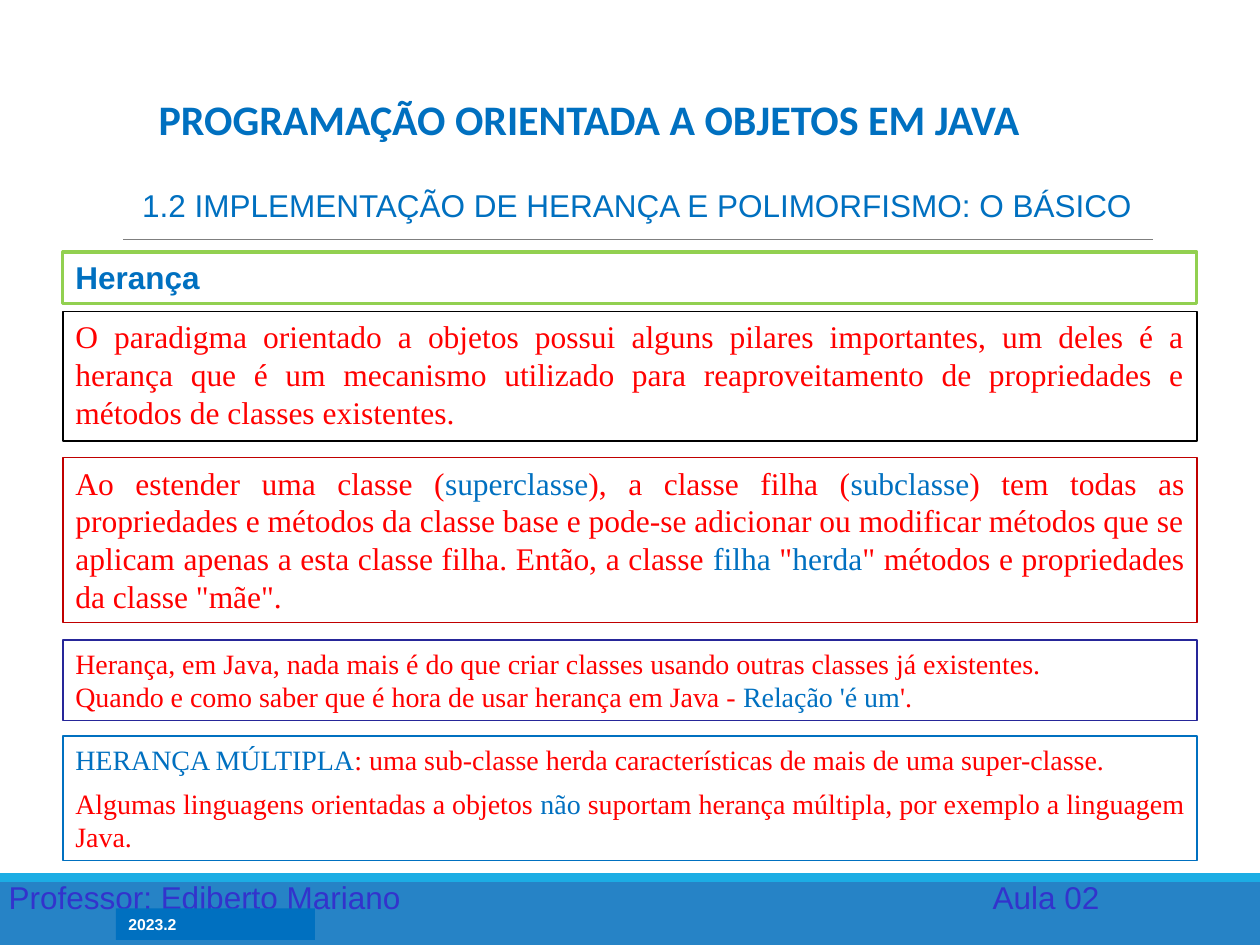
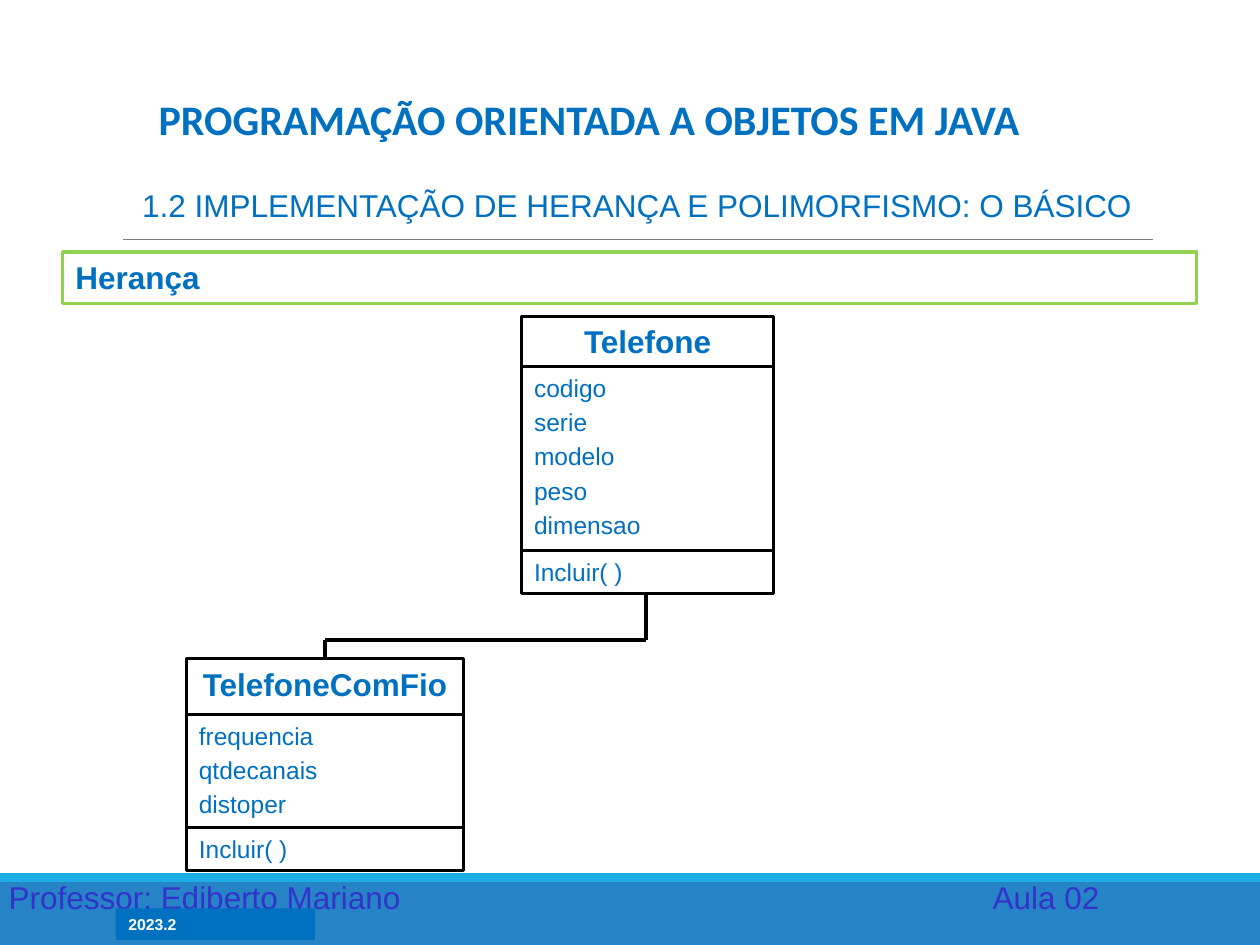
from lxml import etree
from pptx import Presentation
from pptx.dml.color import RGBColor
from pptx.enum import shapes, text
from pptx.oxml.ns import qn
from pptx.util import Inches, Pt

COLORS = {
    "blue": "0070C0", "red": "FF0000", "green": "92D050", "black": "000000",
    "crimson": "C00000", "navy": "262699", "gray": "7F7F7F", "white": "FFFFFF",
    "band": "2683C6", "stripe": "1CADE4", "footer": "3333CC",
}
SERIF = "Times New Roman"
LEFT, CENTER, JUSTIFY = (text.PP_ALIGN.LEFT, text.PP_ALIGN.CENTER,
                         text.PP_ALIGN.JUSTIFY)
BOX_LEFT, BOX_WIDTH = 0.5, 9
ROW_HEIGHT = 0.34


def rgb(name):
    return RGBColor.from_string(COLORS[name])


def add_rect(slide, box, fill=None, line=None, weight=0.75):
    sp = slide.shapes.add_shape(shapes.MSO_SHAPE.RECTANGLE, *map(Inches, box))
    sp.shadow.inherit = False
    if fill:
        sp.fill.solid()
        sp.fill.fore_color.rgb = rgb(fill)
    else:
        sp.fill.background()
    if line:
        sp.line.color.rgb = rgb(line)
        sp.line.width = Pt(weight)
    else:
        sp.line.fill.background()
    return sp


def add_line(slide, start, end, color="black", weight=2.25):
    line = slide.shapes.add_connector(
        shapes.MSO_CONNECTOR.STRAIGHT, *map(Inches, start + end))
    line.line.color.rgb = rgb(color)
    line.line.width = Pt(weight)
    etree.SubElement(line._element.spPr, qn("a:effectLst"))


def write(sp, paragraphs, size=18, font="Arial", color="blue", bold=False,
          align=LEFT, anchor=text.MSO_ANCHOR.TOP, gap=0, tab=None):
    tf = sp.text_frame
    tf.word_wrap = True
    tf.vertical_anchor = anchor
    for i, runs in enumerate(paragraphs):
        p = tf.paragraphs[0] if i == 0 else tf.add_paragraph()
        if tab:
            tabs = etree.SubElement(p._p.get_or_add_pPr(), qn("a:tabLst"))
            etree.SubElement(tabs, qn("a:tab"), pos=str(Inches(tab)), algn="l")
        p.alignment = align
        if i and gap:
            p.space_before = Pt(gap)
        for run in [runs] if isinstance(runs, str) else runs:
            content, run_color = (run, color) if isinstance(run, str) else run
            r = p.add_run()
            r.text = content
            r.font.name = font
            r.font.size = Pt(size)
            r.font.bold = bold
            r.font.color.rgb = rgb(run_color)


def add_text(slide, box, paragraphs, **fmt):
    write(slide.shapes.add_textbox(*map(Inches, box)), paragraphs, **fmt)


def add_framed_text(slide, top, height, line, paragraphs, **fmt):
    sp = add_rect(slide, (BOX_LEFT, top, BOX_WIDTH, height), line=line)
    write(sp, paragraphs, font=SERIF, color="red", **fmt)


def add_class(slide, left, top, width, name, attributes, methods,
              name_height, attributes_height):
    parts = [
        (name_height, [name], dict(bold=True, align=CENTER)),
        (attributes_height, attributes, dict(size=14, gap=2.8)),
        (ROW_HEIGHT, methods, dict(size=14, gap=2.8)),
    ]
    for height, lines, fmt in parts:
        sp = add_rect(slide, (left, top, width, height),
                      line="black", weight=1.75)
        write(sp, lines, **fmt)
        top += height


def add_base_slide(prs):
    slide = prs.slides.add_slide(prs.slide_layouts[6])
    add_rect(slide, (0, 6.93, 10, 0.57), fill="band")
    add_rect(slide, (0, 6.93, 10, 0.07), fill="stripe")
    add_line(slide, (0.98, 1.9), (9.15, 1.9), "gray", 0.5)
    add_text(slide, (-0.03, 6.92, 9, 0.4),
             ["Professor: Ediberto Mariano\tAula 02"], color="footer", tab=7.81)
    term = add_rect(slide, (0.92, 7.21, 1.58, 0.25), fill="blue")
    write(term, ["2023.2"], size=9, color="white", bold=True)
    topic = add_rect(slide, (BOX_LEFT, 2, BOX_WIDTH, 0.41),
                     line="green", weight=1.75)
    write(topic, ["Herança"], bold=True)
    add_text(slide, (1.03, 1.43, 8.67, 0.41),
             ["1.2 IMPLEMENTAÇÃO DE HERANÇA E POLIMORFISMO: O BÁSICO"],
             align=JUSTIFY)
    add_text(slide, (1.03, 0.67, 7.29, 0.52),
             ["PROGRAMAÇÃO ORIENTADA A OBJETOS EM JAVA"], size=24,
             font="Calibri", bold=True, align=CENTER,
             anchor=text.MSO_ANCHOR.BOTTOM)
    return slide


def build_concepts(prs):
    slide = add_base_slide(prs)
    add_framed_text(slide, 2.47, 1.03, "black", [
        "O paradigma orientado a objetos possui alguns pilares importantes, "
        "um deles é a herança que é um mecanismo utilizado para "
        "reaproveitamento de propriedades e métodos de classes existentes.",
    ], align=JUSTIFY)
    add_framed_text(slide, 3.63, 1.31, "crimson", [[
        "Ao estender uma classe (", ("superclasse", "blue"),
        "), a classe filha (", ("subclasse", "blue"),
        ") tem todas as propriedades e métodos da classe base e pode-se "
        "adicionar ou modificar métodos que se aplicam apenas a esta classe "
        "filha. Então, a classe ", ("filha", "blue"), ' "', ("herda", "blue"),
        '" métodos e propriedades da classe "mãe".',
    ]], align=JUSTIFY)
    add_framed_text(slide, 5.08, 0.64, "navy", [
        "Herança, em Java, nada mais é do que criar classes usando outras "
        "classes já existentes.",
        ["Quando e como saber que é hora de usar herança em Java - ",
         ("Relação 'é um", "blue"), "'."],
    ], size=16, align=JUSTIFY)
    add_framed_text(slide, 5.84, 0.99, "blue", [
        [("HERANÇA MÚLTIPLA", "blue"),
         ": uma sub-classe herda características de mais de uma super-classe."],
        ["Algumas linguagens orientadas a objetos ", ("não", "blue"),
         " suportam herança múltipla, por exemplo a linguagem Java."],
    ], size=16, align=JUSTIFY, gap=6)


def build_class_diagram(prs):
    slide = add_base_slide(prs)
    add_class(slide, 4.14, 2.51, 2, "Telefone",
              ["codigo", "serie", "modelo", "peso", "dimensao"],
              ["Incluir( )"], 0.4, 1.46)
    add_class(slide, 1.48, 5.23, 2.2, "TelefoneComFio",
              ["frequencia", "qtdecanais", "distoper"],
              ["Incluir( )"], 0.44, 0.9)
    route = [(2.58, 5.23), (2.58, 5.08), (5.13, 5.08), (5.13, 4.7)]
    for start, end in zip(route, route[1:]):
        add_line(slide, start, end)


def main():
    prs = Presentation()
    prs.slide_width, prs.slide_height = Inches(10), Inches(7.5)
    build_concepts(prs)
    build_class_diagram(prs)
    prs.save("out.pptx")


if __name__ == "__main__":
    main()
